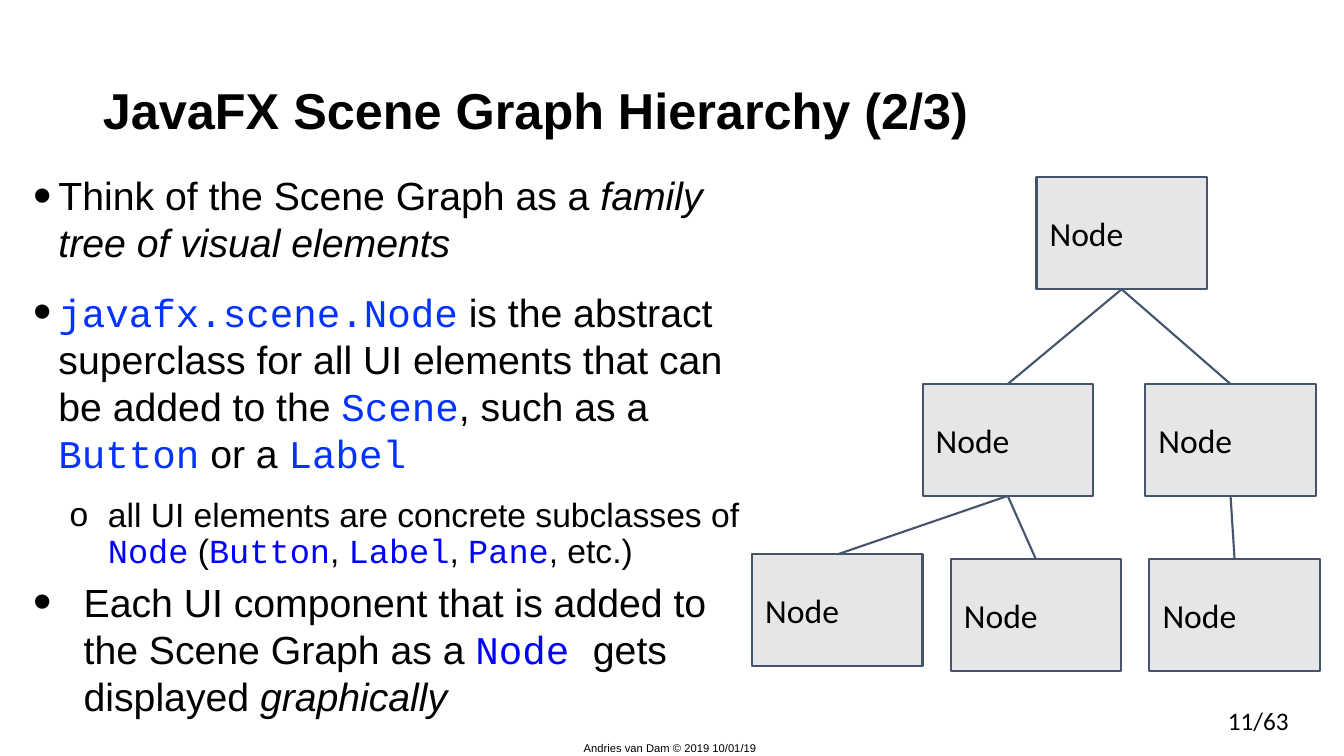
from lxml.etree import SubElement
from pptx import Presentation
from pptx.dml.color import RGBColor
from pptx.enum.shapes import MSO_CONNECTOR, MSO_SHAPE
from pptx.enum.text import MSO_ANCHOR, MSO_AUTO_SIZE, PP_ALIGN
from pptx.oxml.ns import qn
from pptx.util import Inches, Pt

COLORS = {"text": "000000", "code": "0432FF", "link": "0000FF",
          "node": "E7E6E6", "line": "44546A"}


class Deck:
    body_font, code_font, node_font = "Arial", "Courier New", "Calibri"

    def __init__(self):
        self.prs = Presentation()
        self.prs.slide_width, self.prs.slide_height = Inches(13.33), Inches(7.5)
        self.s = self.prs.slides.add_slide(self.prs.slide_layouts[1])

    def color(self, name):
        return RGBColor.from_string(COLORS[name])

    def style(self, r, size, font, color="text", bold=False, italic=False):
        r.font.size, r.font.name = Pt(size), font
        r.font.bold, r.font.italic = bold, italic
        r.font.color.rgb = self.color(color)

    def place(self, sp, x, y, w, h):
        sp.left, sp.top, sp.width, sp.height = map(Inches, (x, y, w, h))

    def title(self, text, *box):
        sp = self.s.shapes.title
        self.place(sp, *box)
        tf = sp.text_frame
        tf.text = text
        tf.auto_size = MSO_AUTO_SIZE.NONE
        tf.vertical_anchor = MSO_ANCHOR.MIDDLE
        p = tf.paragraphs[0]
        p.alignment, p.line_spacing = PP_ALIGN.LEFT, 0.9
        self.style(p.runs[0], 36, self.body_font, bold=True)

    def body(self, *box):
        sp = self.s.placeholders[1]
        self.place(sp, *box)
        tf = sp.text_frame
        tf.auto_size = MSO_AUTO_SIZE.NONE
        tf.vertical_anchor = MSO_ANCHOR.TOP
        return tf

    def bullet(self, p, runs, indent, hang, size=28, char="•", scale=134,
               level=0, before=10, after=6, spacing=1.0):
        p.level, p.line_spacing = level, spacing
        p.space_before, p.space_after = Pt(before), Pt(after)
        pPr = p._p.get_or_add_pPr()
        pPr.set("marL", str(Inches(indent)))
        pPr.set("indent", str(-Inches(hang)))
        clr = SubElement(pPr, qn("a:buClr"))
        SubElement(clr, qn("a:srgbClr"), val=COLORS["text"])
        SubElement(pPr, qn("a:buSzPct"), val=str(scale * 1000))
        SubElement(pPr, qn("a:buFont"), typeface=self.body_font)
        SubElement(pPr, qn("a:buChar"), char=char)
        for text, kind in runs:
            r = p.add_run()
            r.text = text
            if kind in ("code", "link"):
                self.style(r, size, self.code_font, kind)
            else:
                self.style(r, size, self.body_font, italic=kind == "italic")

    def label(self, text, size, font, *box):
        tf = self.s.shapes.add_textbox(*map(Inches, box)).text_frame
        tf.word_wrap = True
        tf.text = text
        self.style(tf.paragraphs[0].runs[0], size, font)

    def node(self, x, y):
        sp = self.s.shapes.add_shape(MSO_SHAPE.RECTANGLE, Inches(x), Inches(y),
                                     Inches(1.69), Inches(1.11))
        sp.shadow.inherit = False
        sp.fill.solid()
        sp.fill.fore_color.rgb = self.color("node")
        sp.line.color.rgb = self.color("line")
        sp.line.width = Pt(1.5)
        tf = sp.text_frame
        tf.text = "Node"
        tf.vertical_anchor = MSO_ANCHOR.MIDDLE
        tf.margin_left = tf.margin_right = Inches(0.13)
        tf.margin_top = tf.margin_bottom = Inches(0.13)
        p = tf.paragraphs[0]
        p.alignment = PP_ALIGN.LEFT
        self.style(p.runs[0], 24, self.node_font)
        return sp

    def edge(self, child, parent):
        c = self.s.shapes.add_connector(MSO_CONNECTOR.STRAIGHT, 0, 0, 0, 0)
        c.begin_connect(child, 0)
        c.end_connect(parent, 2)
        c.line.color.rgb = self.color("line")
        c.line.width = Pt(1.5)
        SubElement(c._element.spPr, qn("a:effectLst"))


def main():
    deck = Deck()
    deck.title("JavaFX Scene Graph Hierarchy (2/3)", 0.92, 0.4, 11.5, 1.45)

    think = [("Think of the Scene Graph as a ", ""),
             ("family tree of visual elements", "italic")]
    superclass = [
        ("javafx.scene.Node", "code"),
        (" is the abstract superclass for all UI elements that can be added to the ", ""),
        ("Scene", "code"), (", such as a ", ""), ("Button", "code"),
        (" or a ", ""), ("Label", "code")]
    subclasses = [
        ("all UI elements are concrete subclasses of ", ""), ("Node", "link"),
        (" (", ""), ("Button", "link"), (", ", ""), ("Label", "link"),
        (", ", ""), ("Pane", "link"), (", etc.)", "")]
    display = [
        ("Each UI component that is added to the Scene Graph as a ", ""),
        ("Node ", "link"), ("gets displayed ", ""), ("graphically", "italic")]

    tf = deck.body(0.23, 1.65, 7.51, 4.76)
    deck.bullet(tf.paragraphs[0], think, 0.25, 0.25, before=0)
    deck.bullet(tf.add_paragraph(), superclass, 0.25, 0.25, level=1)
    deck.bullet(tf.add_paragraph(), subclasses, 0.74, 0.38, size=24, char="o",
                scale=100, level=2, after=0, spacing=0.9)
    deck.bullet(tf.add_paragraph(), display, 0.5, 0.5, level=1, before=5)

    tree = {"root": (10.28, 1.76, None),
            "left": (9.15, 3.81, "root"), "right": (11.36, 3.81, "root"),
            "leaf 1": (7.46, 5.5, "left"), "leaf 2": (9.43, 5.55, "left"),
            "leaf 3": (11.4, 5.55, "right")}
    nodes = {}
    for name, (x, y, parent) in tree.items():
        nodes[name] = deck.node(x, y)
        if parent:
            deck.edge(nodes[name], nodes[parent])

    deck.label("11/63", 18, deck.node_font, 12.08, 6.95, 1.67, 0.4)
    deck.label("Andries van Dam © 2019 10/01/19", 8, deck.body_font,
               5.69, 7.31, 1.95, 0.24)
    deck.prs.save("out.pptx")


if __name__ == "__main__":
    main()
